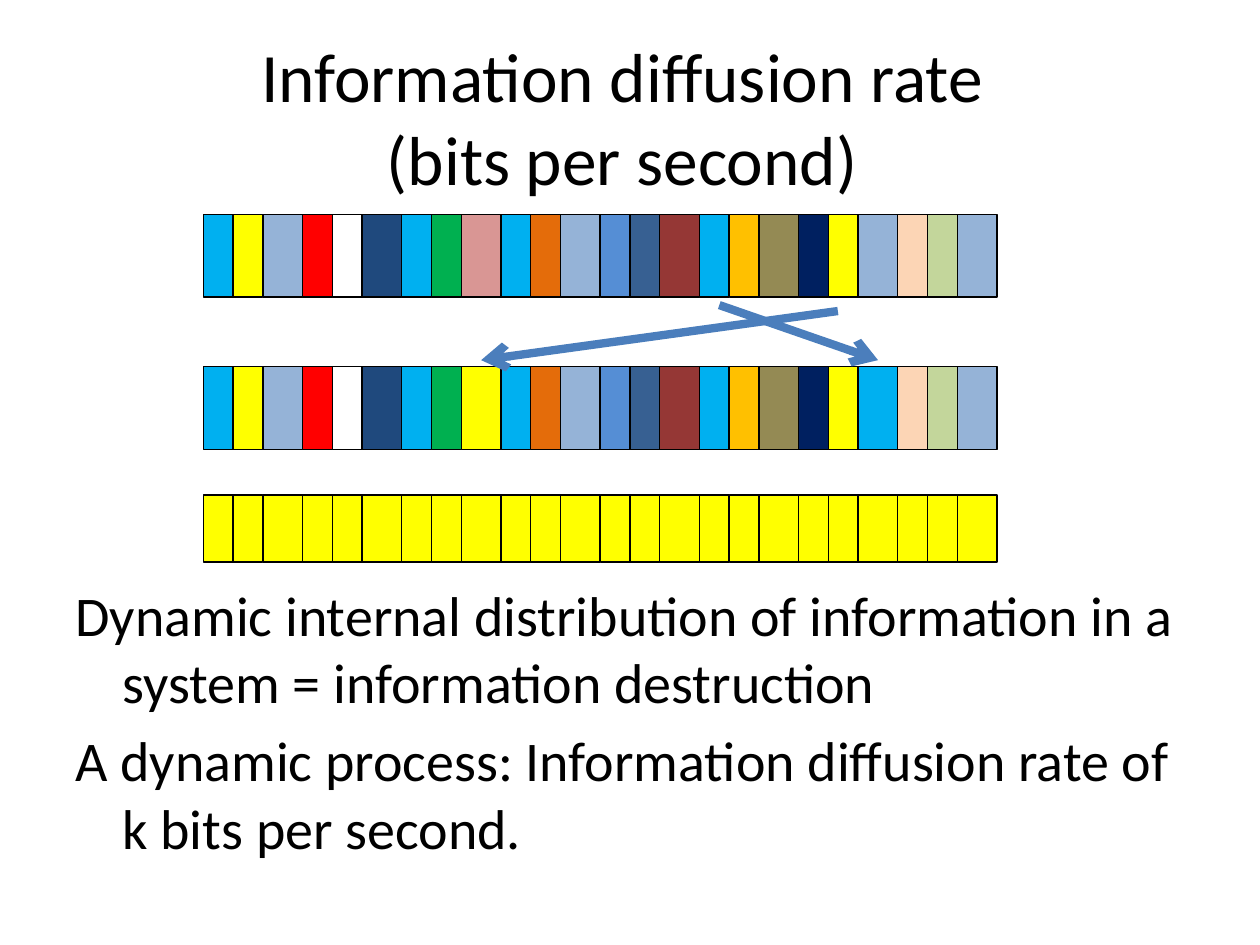
from pptx import Presentation
from pptx.dml.color import RGBColor
from pptx.enum.shapes import MSO_CONNECTOR, MSO_SHAPE
from pptx.enum.text import MSO_ANCHOR, PP_ALIGN
from pptx.oxml.ns import qn
from pptx.util import Cm, Pt
from lxml.etree import SubElement

BLACK = RGBColor(0x00, 0x00, 0x00)
WHITE = RGBColor(0xFF, 0xFF, 0xFF)
SKY = RGBColor(0x00, 0xB0, 0xF0)
YELLOW = RGBColor(0xFF, 0xFF, 0x00)
STEEL = RGBColor(0x95, 0xB3, 0xD7)
RED = RGBColor(0xFF, 0x00, 0x00)
DARK_BLUE = RGBColor(0x1F, 0x49, 0x7D)
GREEN = RGBColor(0x00, 0xB0, 0x50)
PINK = RGBColor(0xD9, 0x96, 0x94)
ORANGE = RGBColor(0xE4, 0x6C, 0x0A)
BLUE = RGBColor(0x55, 0x8E, 0xD5)
DENIM = RGBColor(0x37, 0x60, 0x92)
MAROON = RGBColor(0x95, 0x37, 0x35)
AMBER = RGBColor(0xFF, 0xC0, 0x00)
OLIVE = RGBColor(0x94, 0x8A, 0x54)
NAVY = RGBColor(0x00, 0x20, 0x60)
PEACH = RGBColor(0xFC, 0xD5, 0xB5)
SAGE = RGBColor(0xC3, 0xD6, 0x9B)
ARROW_BLUE = RGBColor(0x4B, 0x7E, 0xBC)

prs = Presentation()
prs.slide_width, prs.slide_height = Cm(25.4), Cm(19.05)
s = prs.slides.add_slide(prs.slide_layouts[6])


def add_text(left, top, width, height, paragraphs, size, frame_format, paragraph_format):
    sp = s.shapes.add_textbox(Cm(left), Cm(top), Cm(width), Cm(height))
    tf = sp.text_frame
    tf.word_wrap = True
    for name, value in frame_format.items():
        setattr(tf, name, value)
    for i, text in enumerate(paragraphs):
        p = tf.paragraphs[0] if i == 0 else tf.add_paragraph()
        p.text = text
        for name, value in paragraph_format.items():
            setattr(p, name, value)
        for name, value in {"name": "Calibri", "size": Pt(size)}.items():
            setattr(p.font, name, value)
        p.font.color.rgb = BLACK
    return tf


add_text(1.27, 0.76, 22.86, 3.18,
         ["Information diffusion rate \v(bits per second) "], 39.6,
         {"vertical_anchor": MSO_ANCHOR.MIDDLE}, {"alignment": PP_ALIGN.CENTER})

# The body text sits below the colour strips
body = add_text(1.27, 5.16, 22.86, 12.57, [
    "Dynamic internal distribution of information in a system = information destruction",
    "A dynamic process: Information diffusion rate of k bits per second.",
], 32, {"margin_top": Cm(6.54)}, {"space_before": Pt(6.4)})
for p in body.paragraphs:
    pPr = p._p.get_or_add_pPr()
    pPr.set("marL", str(Cm(0.95)))
    pPr.set("indent", str(-Cm(0.95)))

# Each strip repeats a group of two narrow cells and a wide one
CELL_WIDTHS = [0.6, 0.6, 0.8]
mixed = [
    SKY, YELLOW, STEEL, RED, WHITE, DARK_BLUE, SKY, GREEN, PINK,
    SKY, ORANGE, STEEL, BLUE, DENIM, MAROON, SKY, AMBER, OLIVE,
    NAVY, YELLOW, STEEL, PEACH, SAGE, STEEL,
]
exchanged = mixed.copy()
exchanged[8], exchanged[20] = YELLOW, SKY
uniform = [YELLOW] * len(mixed)

for top, height, colors in [(4.32, 1.67, mixed), (7.39, 1.67, exchanged), (9.98, 1.35, uniform)]:
    left = 4.1
    for i, color in enumerate(colors):
        width = CELL_WIDTHS[i % 3]
        sp = s.shapes.add_shape(MSO_SHAPE.RECTANGLE, Cm(left), Cm(top), Cm(width), Cm(height))
        sp.shadow.inherit = False
        sp.fill.solid()
        sp.fill.fore_color.rgb = color
        sp.line.color.rgb = BLACK
        sp.line.width = Pt(0.75)
        left += width

for x1, y1, x2, y2 in [(14.5, 6.15, 17.7, 7.26), (16.89, 6.27, 9.7, 7.26)]:
    arrow = s.shapes.add_connector(MSO_CONNECTOR.STRAIGHT, Cm(x1), Cm(y1), Cm(x2), Cm(y2))
    arrow.line.color.rgb = ARROW_BLUE
    arrow.line.width = Pt(4.75)
    SubElement(arrow.line._get_or_add_ln(), qn("a:tailEnd"), type="arrow")
    SubElement(arrow._element.spPr, qn("a:effectLst"))

prs.save("out.pptx")
